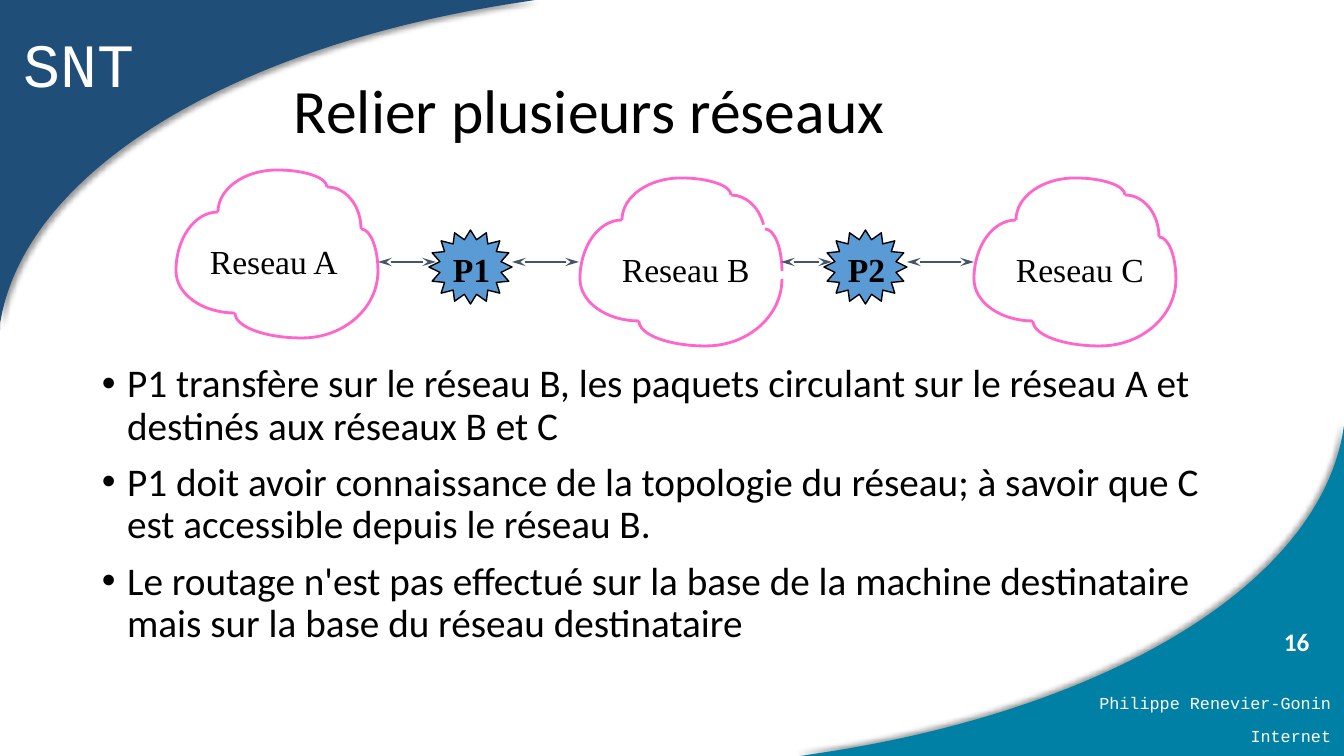
"""Build the slide on linking several networks through gateways."""
from dataclasses import dataclass
from math import cos, radians, sin, tan

from lxml.etree import SubElement
from pptx import Presentation
from pptx.dml.color import RGBColor
from pptx.enum.shapes import MSO_CONNECTOR, MSO_SHAPE
from pptx.enum.text import MSO_ANCHOR, PP_ALIGN
from pptx.oxml.ns import qn
from pptx.util import Emu, Pt


@dataclass(frozen=True)
class Theme:
    navy: str = "1F4E79"
    teal: str = "0080A4"
    pink: str = "FF66CC"
    blue: str = "5B9BD5"
    slate: str = "44546A"
    black: str = "000000"
    white: str = "FFFFFF"
    sans: str = "Calibri"
    serif: str = "Times New Roman"
    mono: str = "Courier New"
    heading: int = 44
    body: int = 28
    label: int = 24
    number: int = 18
    footer: int = 12


THEME = Theme()
PX = 914400 / 100.8
FINE = 100
WIDTH, HEIGHT = 1344, 756

TITLE = "Relier plusieurs réseaux"
BULLETS = [
    "P1 transfère sur le réseau B, les paquets circulant sur le réseau A et destinés aux réseaux B et C",
    "P1 doit avoir connaissance de la topologie du réseau; à savoir que C est accessible depuis le réseau B.",
    "Le routage n'est pas effectué sur la base de la machine destinataire mais sur la base du réseau destinataire",
]
FOOTERS = [("Philippe Renevier-Gonin", 688), ("Internet", 721)]

CORNERS = [
    (THEME.teal, 225, [(820, 753), (1106, 710), (1317, 585), (1343, 432)],
     [(1344, 426), (1344, 756), (800, 756)]),
    (THEME.navy, 45, [(516, 3), (234, 46), (24, 171), (0, 324)],
     [(0, 330), (0, 0), (535, 0)]),
]

CLOUD_JOINTS = [(101, 0), (151, 17), (185, 59), (202, 101),
                (126, 168), (59, 143), (0, 101), (42, 42)]
CENTRE_BELOW_START = {0, 1, 2, 4}
CLOUDS = [
    {"name": "Reseau A", "left": 176, "top": 170, "label": 200},
    {"name": "Reseau B", "left": 580, "top": 178, "label": 612,
     "sweeps": {1: 73}, "lifts": {2: 8}},
    {"name": "Reseau C", "left": 974, "top": 178, "label": 1006},
]
GATEWAYS = [("P1", 429), ("P2", 824)]
LINKS = [(378, 436), (512, 579), (781, 832), (907, 974)]
LINK_Y = 262


def px(value):
    return Emu(round(value * PX))


def colour(value):
    return RGBColor.from_string(value)


def write_text(shape, lines, size, font, ink=THEME.black, bold=False,
               align=PP_ALIGN.LEFT, anchor=MSO_ANCHOR.TOP, wrap=True):
    frame = shape.text_frame
    frame.word_wrap = wrap
    frame.vertical_anchor = anchor
    frame.text = "\n".join(lines)
    for para in frame.paragraphs:
        para.alignment = align
        para.font.size = Pt(size)
        para.font.name = font
        para.font.bold = bold
        para.font.color.rgb = colour(ink)
    return frame.paragraphs


def add_text(page, place, lines, size, font, **style):
    box = page.shapes.add_textbox(*map(px, place))
    return write_text(box, lines, size, font, **style)


def add_bullet(para):
    para.line_spacing = 0.9
    para.space_before = Pt(10)
    properties = para._p.get_or_add_pPr()
    properties.set("marL", "228600")
    properties.set("indent", "-228600")
    SubElement(properties, qn("a:buFont"), typeface="Arial")
    SubElement(properties, qn("a:buChar"), char="•")


def add_curve(page, curve, edge=()):
    points = [(x * FINE, y * FINE) for x, y in [*curve, *edge]]
    builder = page.shapes.build_freeform(*points[0], scale=PX / FINE)
    builder.add_line_segments(points[1:], close=bool(edge))
    shape = builder.convert_to_shape()
    shape.shadow.inherit = False
    first, *others = list(shape._element.iter(qn("a:lnTo")))[:3]
    first.tag = qn("a:cubicBezTo")
    for other in others:
        first.append(other[0])
        other.getparent().remove(other)
    return shape


def add_corner(page, fill, direction, curve, edge):
    shape = add_curve(page, curve, edge)
    shape.fill.solid()
    shape.fill.fore_color.rgb = colour(fill)
    shape.line.fill.background()
    effects = shape._element.spPr.find(qn("a:effectLst"))
    shadow = SubElement(effects, qn("a:outerShdw"), blurRad=str(Pt(4)), dist=str(Pt(3)),
                        dir=str(direction * 60000), algn="ctr", rotWithShape="0")
    ink = SubElement(shadow, qn("a:srgbClr"), val=THEME.black)
    SubElement(ink, qn("a:alpha"), val="40000")


def quarter_arc(start, end, centre, sweep):
    angle = radians(sweep)
    reach = 4 / 3 * tan(angle / 4)
    axes = []
    for s, e, c in zip(start, end, centre):
        u, v = s - c, e - c
        stop = c + u * cos(angle) + v * sin(angle)
        heading = v * cos(angle) - u * sin(angle)
        axes.append((s, s + reach * v, stop - reach * heading, stop))
    return list(zip(*axes))


def add_cloud(page, cloud):
    joints = [(cloud["left"] + x, cloud["top"] + y) for x, y in CLOUD_JOINTS]
    for index, start in enumerate(joints):
        end = joints[(index + 1) % len(joints)]
        below = index in CENTRE_BELOW_START
        centre = (start[0], end[1]) if below else (end[0], start[1])
        if index in (3, 6, 7):
            centre = (end[0], start[1])
        elif index in (4, 5):
            centre = (start[0], end[1])
        sweep = cloud.get("sweeps", {}).get(index, 90)
        lift = cloud.get("lifts", {}).get(index, 0)
        arc = add_curve(page, [(x, y - lift) for x, y in
                               quarter_arc(start, end, centre, sweep)])
        arc.fill.background()
        arc.line.color.rgb = colour(THEME.pink)
        arc.line.width = Pt(2)
    add_text(page, (cloud["label"], cloud["top"] + 66, 149, 51), [cloud["name"]],
             THEME.label, THEME.serif, wrap=False)


def add_gateway(page, name, left):
    star = page.shapes.add_shape(MSO_SHAPE.STAR_16_POINT, *map(px, (left, 230, 83, 74)))
    star.adjustments[0] = 0.375
    star.shadow.inherit = False
    star.fill.solid()
    star.fill.fore_color.rgb = colour(THEME.blue)
    star.line.color.rgb = colour(THEME.black)
    star.line.width = Pt(1)
    add_text(page, (left + 14, 244, 58, 51), [name], THEME.label, THEME.serif,
             bold=True, wrap=False)


def add_link(page, start, end):
    link = page.shapes.add_connector(MSO_CONNECTOR.STRAIGHT,
                                     *map(px, (start, LINK_Y, end, LINK_Y)))
    link.line.color.rgb = colour(THEME.slate)
    link.line.width = Pt(1)
    for tag in ("a:headEnd", "a:tailEnd"):
        SubElement(link.line._get_or_add_ln(), qn(tag), type="stealth", w="med", len="lg")
    SubElement(link._element.spPr, qn("a:effectLst"))


def add_page_number(page):
    disc = page.shapes.add_shape(MSO_SHAPE.OVAL, *map(px, (1262, 602, 82, 79)))
    disc.shadow.inherit = False
    disc.fill.background()
    disc.line.fill.background()
    write_text(disc, ["16"], THEME.number, THEME.sans, ink=THEME.white, bold=True,
               anchor=MSO_ANCHOR.MIDDLE)


def main():
    deck = Presentation()
    deck.slide_width, deck.slide_height = px(WIDTH), px(HEIGHT)
    page = deck.slides.add_slide(deck.slide_layouts[6])
    for corner in CORNERS:
        add_corner(page, *corner)
    add_text(page, (14, 21, 132, 85), ["SNT"], THEME.heading, THEME.mono,
             ink=THEME.white, wrap=False)
    for line, top in FOOTERS:
        add_text(page, (900, top, 441, 30), [line], THEME.footer, THEME.mono,
                 ink=THEME.white, align=PP_ALIGN.RIGHT)
    add_page_number(page)
    title = add_text(page, (284, 41, 969, 146), [TITLE], THEME.heading, THEME.sans,
                     anchor=MSO_ANCHOR.MIDDLE)
    title[0].line_spacing = 0.9
    for para in add_text(page, (92, 359, 1159, 323), BULLETS, THEME.body, THEME.sans):
        add_bullet(para)
    for cloud in CLOUDS:
        add_cloud(page, cloud)
    for name, left in GATEWAYS:
        add_gateway(page, name, left)
    for start, end in LINKS:
        add_link(page, start, end)
    deck.save("out.pptx")


if __name__ == "__main__":
    main()
